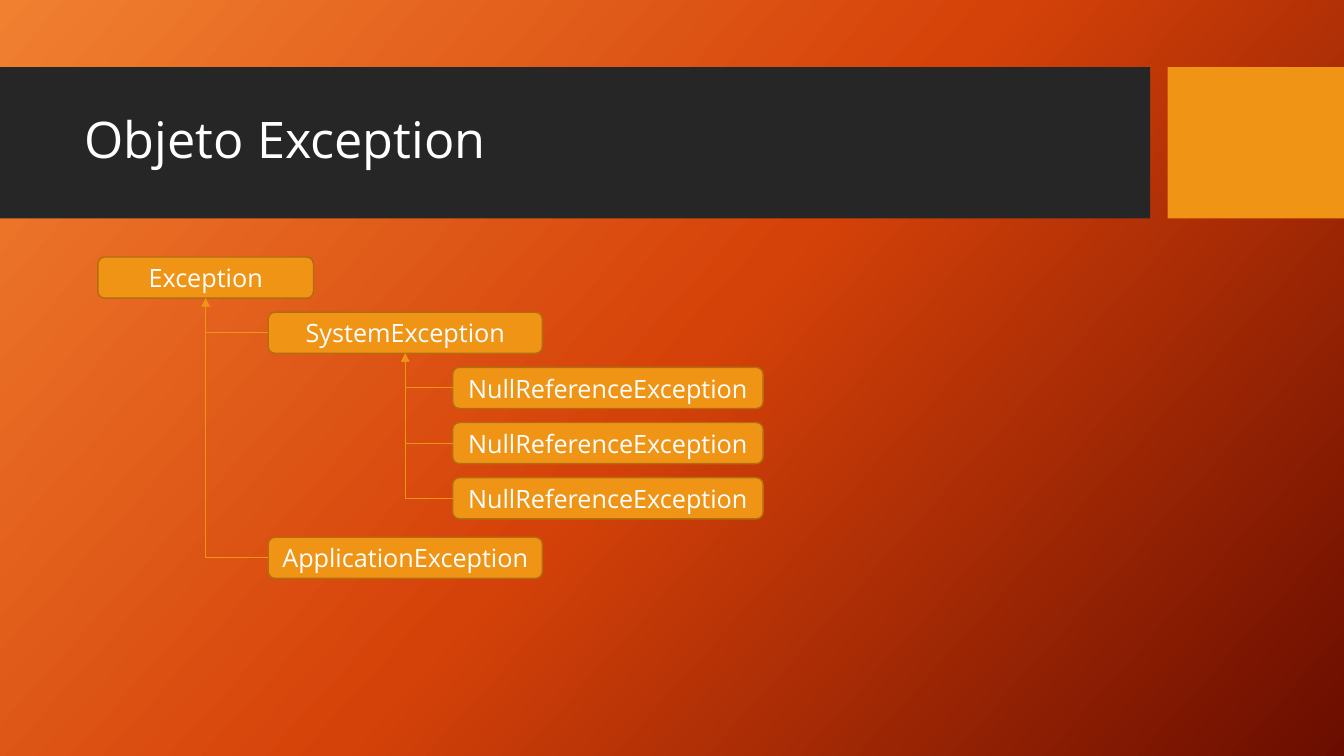
from copy import deepcopy
from pptx import Presentation
from pptx.dml.color import RGBColor
from pptx.enum.shapes import MSO_CONNECTOR, MSO_SHAPE
from pptx.enum.text import MSO_ANCHOR, PP_ALIGN
from pptx.oxml.ns import qn
from pptx.oxml.xmlchemy import OxmlElement
from pptx.util import Pt

FONT = "Open Sans"
COLORS = {
    "glow": "F18031",
    "flame": "D54209",
    "ember": "6A0D00",
    "band": "262626",
    "accent": "F09415",
    "border": "B26D10",
    "text": "FFFFFF",
}
COLUMNS = [(0, 154), (121.7, 195.8), (253.4, 221.8)]
NODE_HEIGHT = 29.4
ROW_PITCH = 39.4
NODES = [
    ("Exception", 0, 0, None),
    ("SystemException", 1, 1, 0),
    ("NullReferenceException", 2, 2, 1),
    ("NullReferenceException", 2, 3, 1),
    ("NullReferenceException", 2, 4, 1),
    ("ApplicationException", 1, 5.08, 0),
]


def rgb(name):
    return RGBColor.from_string(COLORS[name])


def format_text(tf, size, align):
    tf.vertical_anchor = MSO_ANCHOR.MIDDLE
    p = tf.paragraphs[0]
    p.alignment = align
    font = p.runs[0].font
    font.name = FONT
    font.size = Pt(size)
    font.color.rgb = rgb("text")
    return p


def add_box(slide, kind, left, top, width, height, color):
    sp = slide.shapes.add_shape(kind, Pt(left), Pt(top), Pt(width), Pt(height))
    sp.shadow.inherit = False
    sp.fill.solid()
    sp.fill.fore_color.rgb = rgb(color)
    sp.line.fill.background()
    return sp


def paint_background(slide):
    fill = slide.background.fill
    fill.gradient()
    fill.gradient_angle = 360 - 42
    first = fill.gradient_stops[0]._gs
    first.addnext(deepcopy(first))
    for i, (stop, name) in enumerate(zip(fill.gradient_stops, ("glow", "flame", "ember"))):
        stop.position = i / 2
        stop.color.rgb = rgb(name)


def add_header(slide, left, top, width, height):
    tab = 126
    band = width - tab - 12.5
    add_box(slide, MSO_SHAPE.RECTANGLE, left, top, band, height, "band")
    add_box(slide, MSO_SHAPE.RECTANGLE, left + width - tab, top, tab, height, "accent")
    title = slide.shapes.title
    title.left, title.top = Pt(left + 53.3), Pt(top + 11)
    title.width, title.height = Pt(756.7), Pt(85)
    title.text_frame.text = "Objeto Exception"
    p = format_text(title.text_frame, 36, PP_ALIGN.LEFT)
    p.line_spacing = 0.9
    slide.shapes._spTree.append(title._element)


def add_node(slide, text, left, top, width):
    sp = add_box(slide, MSO_SHAPE.ROUNDED_RECTANGLE, left, top, width, NODE_HEIGHT, "accent")
    sp.line.color.rgb = rgb("border")
    sp.line.width = Pt(1)
    sp.text_frame.text = text
    format_text(sp.text_frame, 18, PP_ALIGN.CENTER)
    return sp


def link_to_parent(slide, child, parent):
    cxn = slide.shapes.add_connector(MSO_CONNECTOR.ELBOW, 0, 0, 0, 0)
    cxn.begin_connect(child, 1)
    cxn.end_connect(parent, 2)
    cxn.line.color.rgb = rgb("accent")
    cxn.line.width = Pt(0.75)
    spPr = cxn._element.spPr
    xfrm = spPr.find(qn("a:xfrm"))
    for flip in ("flipH", "flipV"):
        xfrm.attrib.pop(flip, None)
    xfrm.set("rot", "10800000")
    spPr.find(qn("a:prstGeom")).set("prst", "bentConnector2")
    tail = OxmlElement("a:tailEnd")
    tail.set("type", "triangle")
    cxn.line._get_or_add_ln().append(tail)
    spPr.append(OxmlElement("a:effectLst"))


def add_hierarchy(slide, left, top):
    boxes = []
    for text, level, row, _ in NODES:
        x, width = COLUMNS[level]
        boxes.append(add_node(slide, text, left + x, top + row * ROW_PITCH, width))
    for box, (_, _, _, parent) in zip(boxes, NODES):
        if parent is not None:
            link_to_parent(slide, box, boxes[parent])


def main():
    prs = Presentation()
    prs.slide_width, prs.slide_height = Pt(960), Pt(540)
    slide = prs.slides.add_slide(prs.slide_layouts[5])
    paint_background(slide)
    add_header(slide, 0, 48, 960, 108)
    add_hierarchy(slide, 69.9, 183.6)
    prs.save("out.pptx")


if __name__ == "__main__":
    main()
